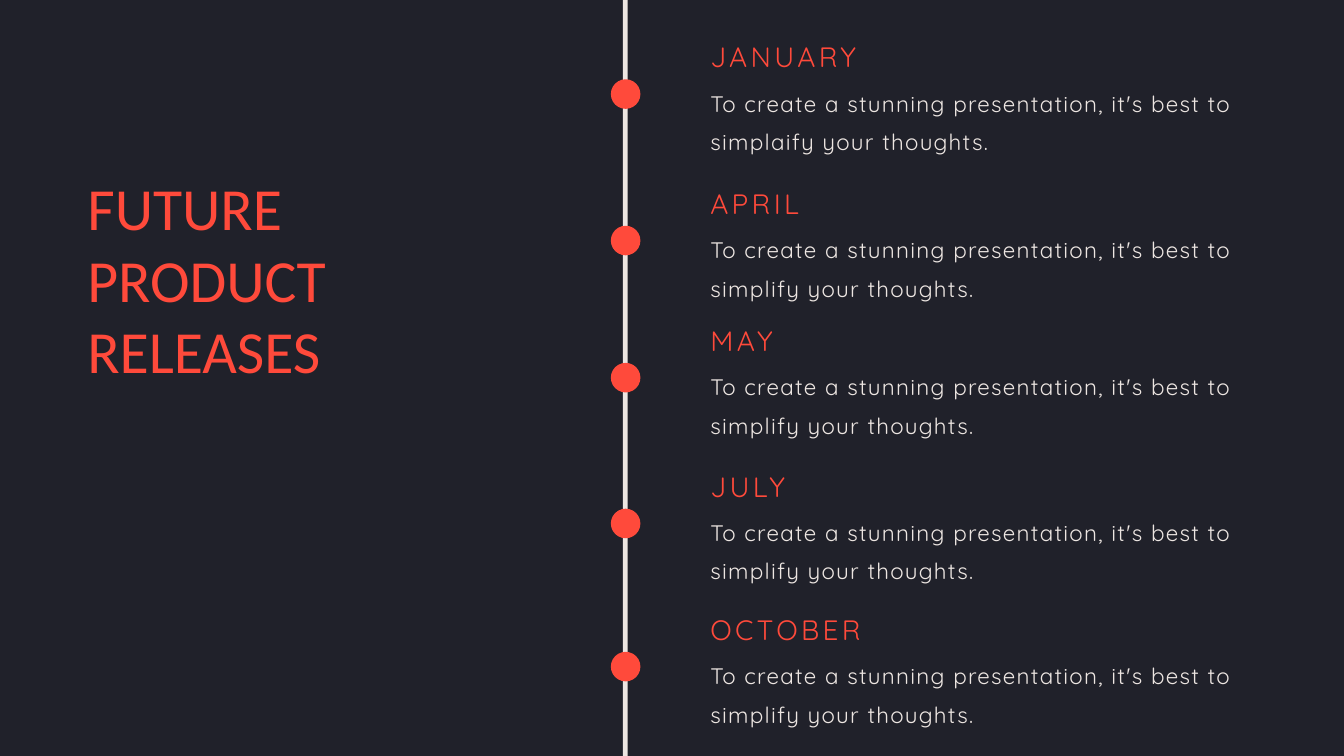
from dataclasses import dataclass

from pptx import Presentation
from pptx.dml.color import RGBColor
from pptx.enum.shapes import MSO_SHAPE
from pptx.enum.text import MSO_AUTO_SIZE
from pptx.slide import Slide
from pptx.util import Inches, Pt

NIGHT = RGBColor(0x20, 0x21, 0x2A)
CORAL = RGBColor(0xFF, 0x4A, 0x3B)
CREAM = RGBColor(0xED, 0xE6, 0xE2)

TEXT_LEFT = 10.57
TEXT_WIDTH = 8.3
DOT_LEFT = 9.09
DOT_SIZE = 0.44
DOT_DROP = 0.67
BODY_DROP = 0.65
SUMMARY = "To create a stunning presentation, it's best to simplify your thoughts."


@dataclass(frozen=True)
class TextStyle:
    font: str
    size: float
    leading: float
    color: RGBColor
    tracking: float = 0


@dataclass(frozen=True)
class Release:
    month: str
    top: float
    summary: str = SUMMARY


TITLE = TextStyle("Calibri", 64, 76.8, CORAL)
MONTH = TextStyle("Quicksand", 30, 42, CORAL, 3.6)
BODY = TextStyle("Quicksand", 24, 41.3, CREAM, 1.4)

RELEASES = [
    Release("JANUARY", 0.51, "To create a stunning presentation, it's best to simplaify your thoughts."),
    Release("APRIL", 2.69),
    Release("MAY", 4.73),
    Release("JULY", 6.9),
    Release("OCTOBER", 9.03),
]


def add_text(page: Slide, text: str, left: float, top: float, width: float,
             height: float, style: TextStyle) -> None:
    box = page.shapes.add_textbox(Inches(left), Inches(top), Inches(width), Inches(height))
    frame = box.text_frame
    frame.margin_left = frame.margin_top = frame.margin_right = frame.margin_bottom = 0
    frame.word_wrap = True
    frame.auto_size = MSO_AUTO_SIZE.SHAPE_TO_FIT_TEXT
    frame.text = text
    para = frame.paragraphs[0]
    para.line_spacing = Pt(style.leading)
    span = para.runs[0]
    span.font.name = style.font
    span.font.size = Pt(style.size)
    span.font.color.rgb = style.color
    if style.tracking:
        span.font._element.set("spc", str(round(style.tracking * 100)))


def add_filled(page: Slide, preset: MSO_SHAPE, left: float, top: float, width: float,
               height: float, color: RGBColor) -> None:
    shape = page.shapes.add_shape(preset, Inches(left), Inches(top), Inches(width), Inches(height))
    shape.shadow.inherit = False
    shape.fill.solid()
    shape.fill.fore_color.rgb = color
    shape.line.fill.background()


def add_release(page: Slide, release: Release) -> None:
    add_filled(page, MSO_SHAPE.OVAL, DOT_LEFT, release.top + DOT_DROP, DOT_SIZE, DOT_SIZE, CORAL)
    add_text(page, release.month, TEXT_LEFT, release.top, TEXT_WIDTH, 0.55, MONTH)
    add_text(page, release.summary, TEXT_LEFT, release.top + BODY_DROP, TEXT_WIDTH, 1.08, BODY)


def main() -> None:
    deck = Presentation()
    deck.slide_width = Inches(20)
    deck.slide_height = Inches(11.25)
    page = deck.slides.add_slide(deck.slide_layouts[6])
    page.background.fill.solid()
    page.background.fill.fore_color.rgb = NIGHT

    add_text(page, "FUTURE PRODUCT RELEASES", 1.3, 2.54, 6.27, 3.19, TITLE)
    add_filled(page, MSO_SHAPE.RECTANGLE, 9.27, -0.71, 0.07, 12.66, CREAM)
    for release in RELEASES:
        add_release(page, release)

    deck.save("out.pptx")


if __name__ == "__main__":
    main()
